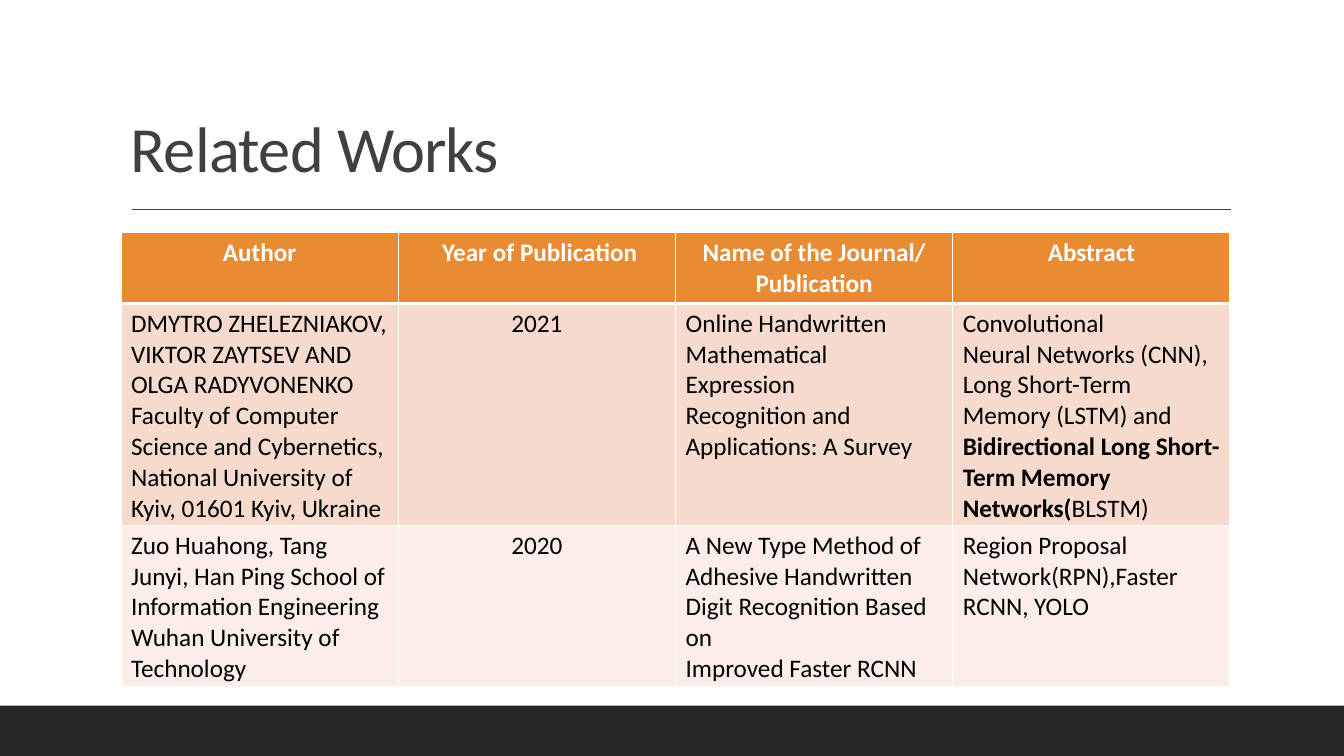
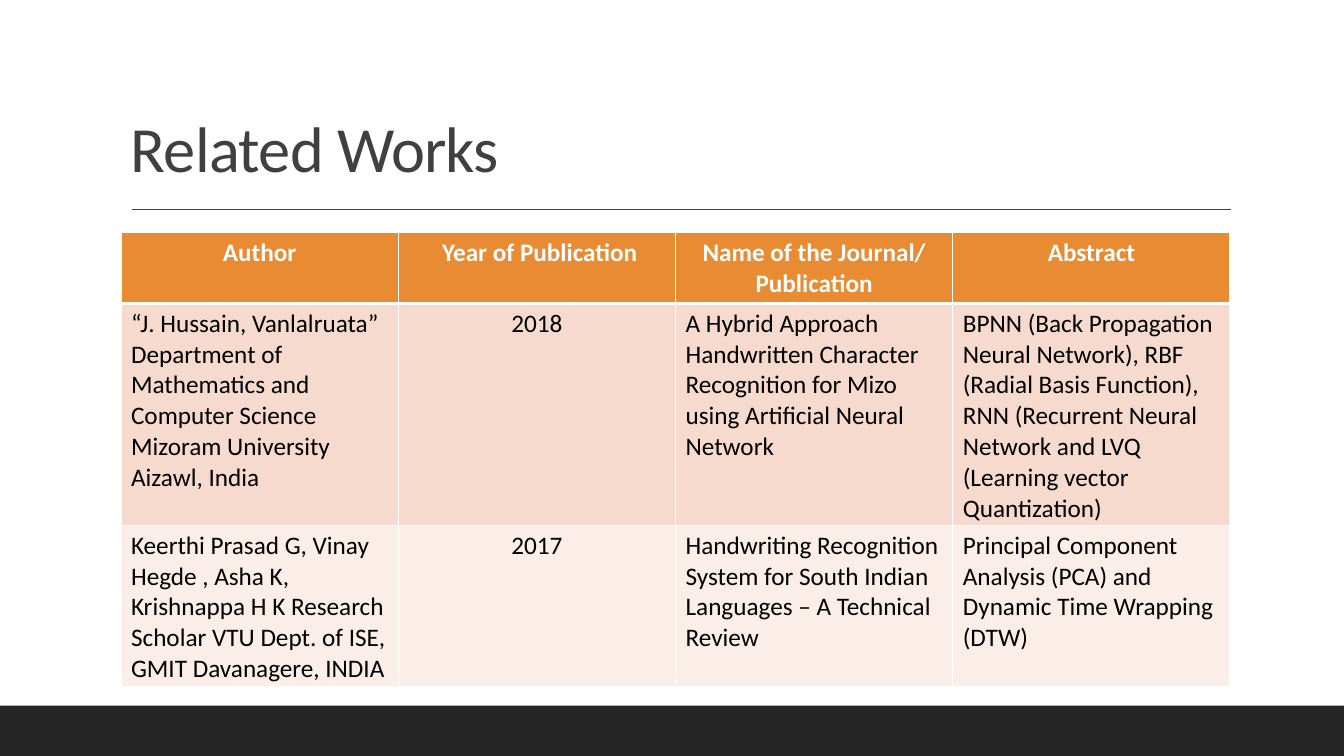
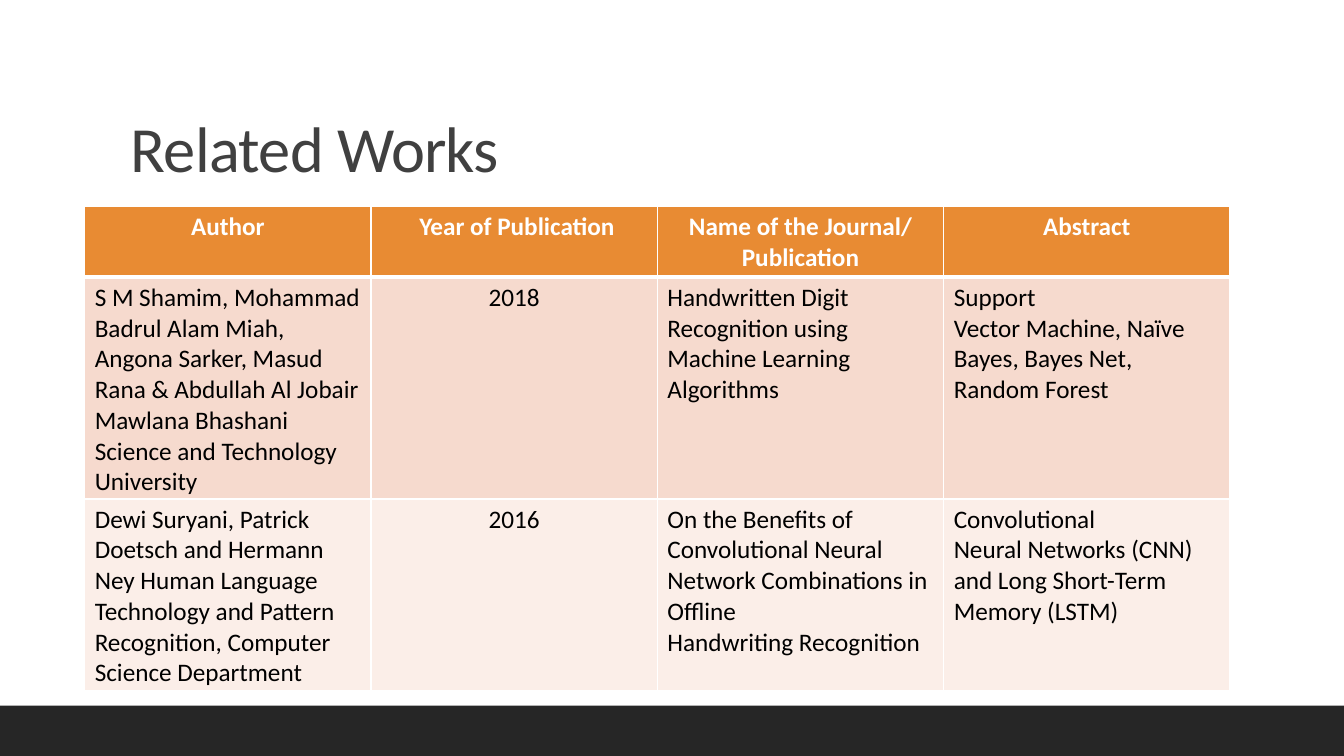
from pptx import Presentation, util as u
from pptx.dml.color import RGBColor
from pptx.enum import shapes, text
from pptx.oxml import parse_xml
from pptx.oxml.ns import nsdecls

In = u.Inches
WHITE, BLACK, GREY, DARK = "FFFFFF", "000000", "404040", "262626"
FILLS = ["E88B33", "F6DACE", "FBEEE8"]
HEAD = ["Author", " Year of Publication", "Name of the Journal/ Publication", "Abstract"]
TITLE = {"name": "Calibri", "size": u.Pt(46), "bold": False}
BODY = {"name": "Calibri", "size": u.Pt(18)}


def rgb(code):
    return RGBColor.from_string(code)


def write(para, words, look, color):
    run = para.add_run()
    run.text = words
    for key, val in look.items():
        setattr(run.font, key, val)
    run.font.color.rgb = rgb(color)
    return run


# Slide data: table left, top, column width, row heights, body rows.
# A line break starts a paragraph; ** switches bold on and off.
pages = [
    (1.2, 2.31, 2.75, [0.56, 2.01, 1.53], [
        ["DMYTRO ZHELEZNIAKOV, VIKTOR ZAYTSEV AND OLGA RADYVONENKO Faculty of Computer "
         "Science and Cybernetics, National University of Kyiv, 01601 Kyiv, Ukraine",
         "2021",
         "Online Handwritten Mathematical Expression\nRecognition and Applications: A Survey",
         "Convolutional\nNeural Networks (CNN), Long Short-Term Memory (LSTM) and "
         "**Bidirectional Long Short-Term Memory Networks(**BLSTM)"],
        ["Zuo Huahong, Tang Junyi, Han Ping School of Information Engineering\n"
         "Wuhan University of Technology",
         "2020",
         "A New Type Method of Adhesive Handwritten Digit Recognition Based on\n"
         "Improved Faster RCNN",
         "Region Proposal Network(RPN),Faster RCNN, YOLO"]]),
    (1.2, 2.31, 2.75, [0.56, 2.01, 1.53], [
        ["“J. Hussain, Vanlalruata” Department of Mathematics and Computer Science "
         "Mizoram University Aizawl, India",
         "2018",
         "A Hybrid Approach Handwritten Character Recognition for Mizo using "
         "Artificial Neural Network",
         "BPNN (Back Propagation Neural Network), RBF (Radial Basis Function), RNN "
         "(Recurrent Neural Network and LVQ (Learning vector Quantization)"],
        ["Keerthi Prasad G, Vinay Hegde , Asha K, Krishnappa H K Research Scholar VTU "
         "Dept. of ISE, GMIT Davanagere, INDIA",
         "2017",
         "Handwriting Recognition System for South Indian Languages – A Technical Review",
         "Principal Component Analysis (PCA) and Dynamic Time Wrapping (DTW)"]]),
    (0.84, 2.05, 2.84, [0.57, 2.04, 1.55], [
        ["S M Shamim, Mohammad Badrul Alam Miah, Angona Sarker, Masud Rana & Abdullah "
         "Al Jobair\nMawlana Bhashani Science and Technology University",
         "2018",
         "Handwritten Digit Recognition using Machine Learning Algorithms",
         "Support\nVector Machine, Naïve Bayes, Bayes Net, Random Forest"],
        ["Dewi Suryani, Patrick Doetsch and Hermann Ney Human Language Technology and "
         "Pattern Recognition, Computer Science Department",
         "2016",
         "On the Benefits of Convolutional Neural Network Combinations in Offline\n"
         "Handwriting Recognition",
         "Convolutional\nNeural Networks (CNN) and Long Short-Term Memory (LSTM)"]]),
]

prs = Presentation()
prs.slide_width, prs.slide_height = In(13.33), In(7.5)

for left, top, wide, highs, body in pages:
    slide = prs.slides.add_slide(prs.slide_layouts[6])

    # Bottom band
    band = slide.shapes.add_shape(shapes.MSO_SHAPE.RECTANGLE, 0, In(7), In(13.33), In(0.5))
    band.shadow.inherit = False
    band.fill.solid()
    band.fill.fore_color.rgb = rgb(DARK)
    band.line.fill.background()

    # Rule under the title
    rule = slide.shapes.add_connector(
        shapes.MSO_CONNECTOR.STRAIGHT, In(1.31), In(2.08), In(12.21), In(2.08))
    rule.line.color.rgb = rgb(GREY)
    rule.line.width = u.Pt(1)
    rule._element.spPr.append(parse_xml(f"<a:effectLst {nsdecls('a')}/>"))

    # Title
    frame = slide.shapes.add_textbox(In(1.2), In(0.31), In(11), In(1.59)).text_frame
    frame.word_wrap = True
    frame.vertical_anchor = text.MSO_ANCHOR.BOTTOM
    para = frame.paragraphs[0]
    para.line_spacing = 0.9
    run = write(para, "Related Works", TITLE, GREY)
    run._r.get_or_add_rPr().set("spc", "-50")

    # Table
    table = slide.shapes.add_table(
        3, 4, In(left), In(top), In(4 * wide), In(sum(highs))).table
    for col in table.columns:
        col.width = In(wide)
    for r, (high, row) in enumerate(zip(highs, [HEAD] + body)):
        table.rows[r].height = In(high)
        for c, words in enumerate(row):
            cell = table.cell(r, c)
            cell.fill.solid()
            cell.fill.fore_color.rgb = rgb(FILLS[r])

            # White borders, thicker below the header
            for i, side in enumerate("LRTB"):
                thick = 3 if (r, side) in [(0, "B"), (1, "T")] else 1
                cell._tc.get_or_add_tcPr().insert(i, parse_xml(
                    f'<a:ln{side} {nsdecls("a")} w="{u.Pt(thick)}"><a:solidFill>'
                    f'<a:srgbClr val="{WHITE}"/></a:solidFill></a:ln{side}>'))

            # Cell text
            for n, part in enumerate(words.split("\n")):
                frame = cell.text_frame
                para = frame.add_paragraph() if n else frame.paragraphs[0]
                if r == 0 or c == 1:
                    para.alignment = text.PP_ALIGN.CENTER
                for k, bit in enumerate(part.split("**")):
                    look = {**BODY, "bold": r == 0 or k % 2 == 1}
                    write(para, bit, look, BLACK if r else WHITE)

prs.save("out.pptx")
